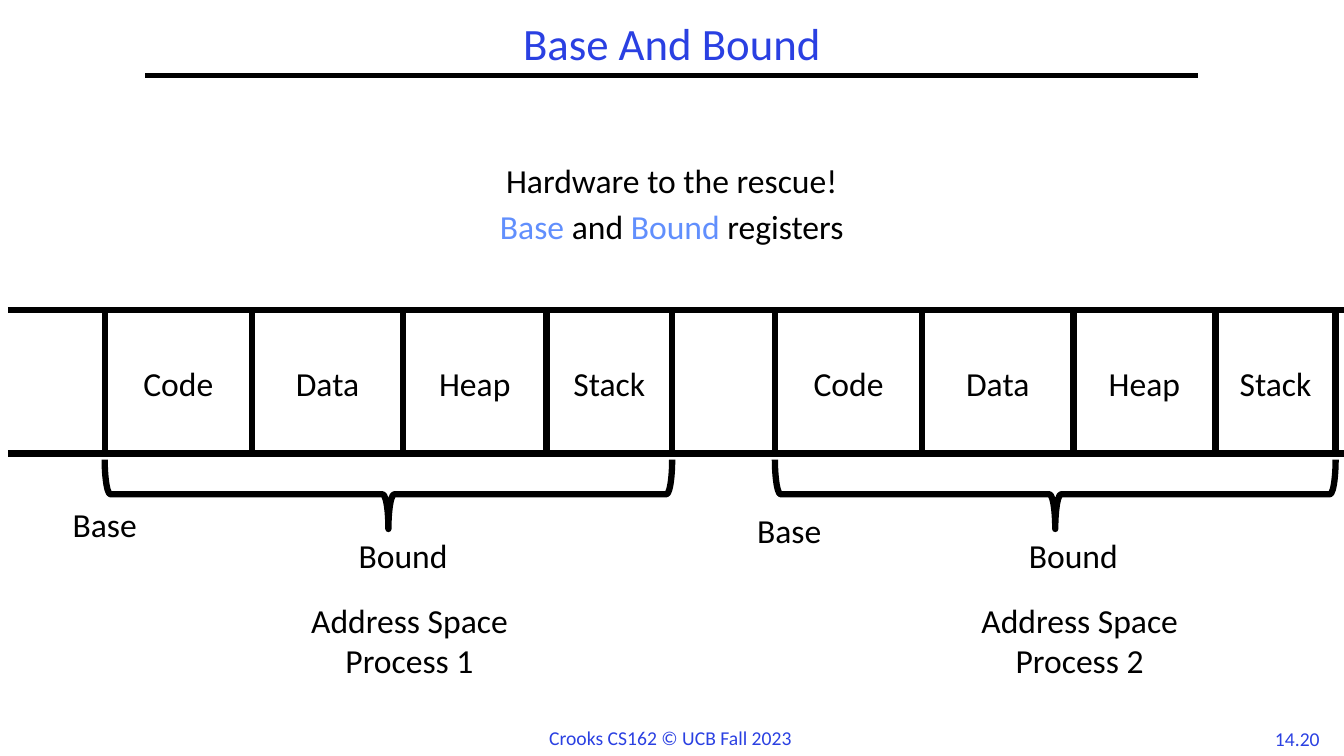
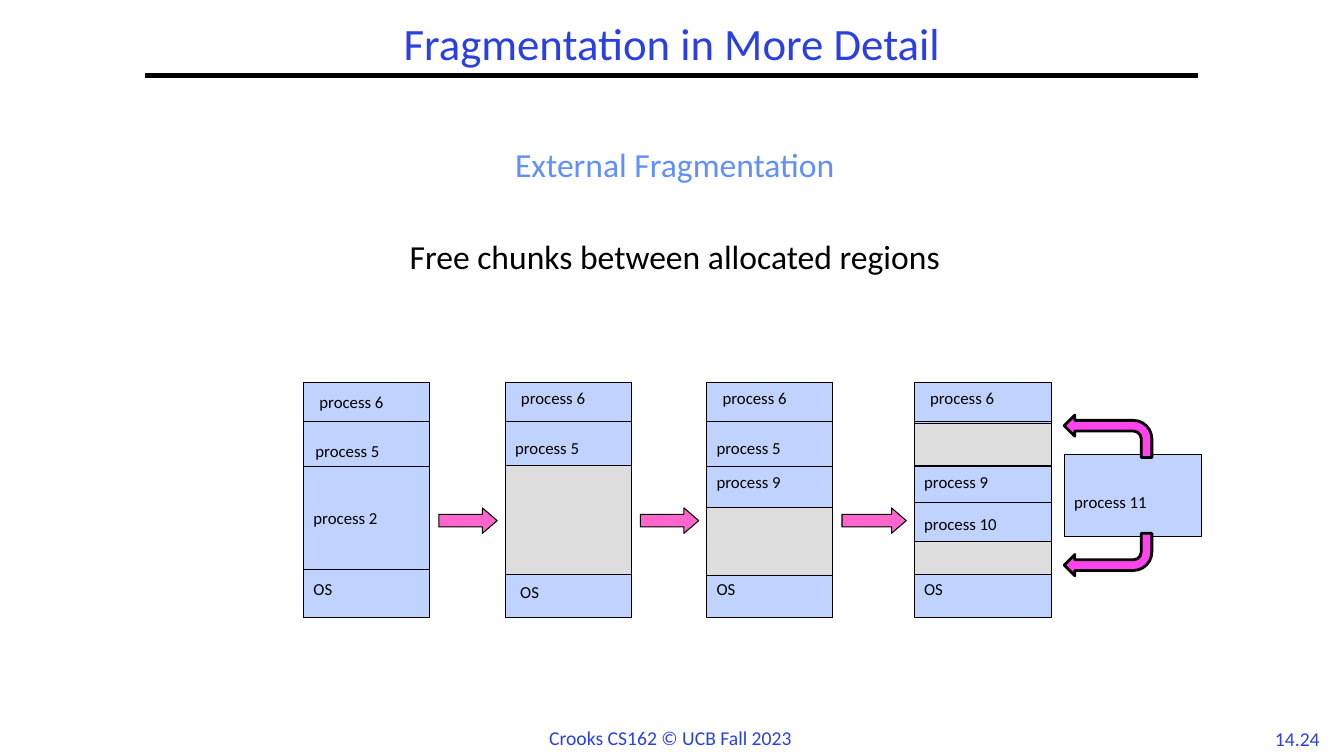
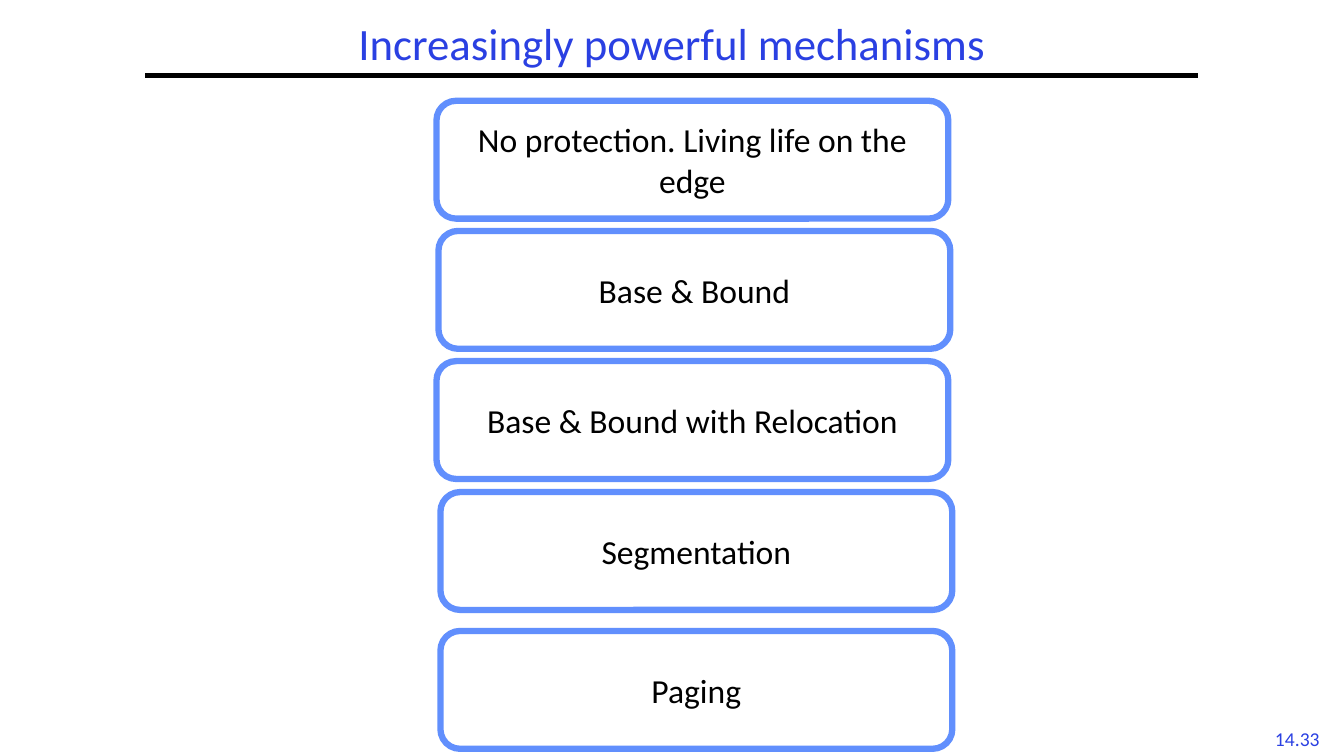
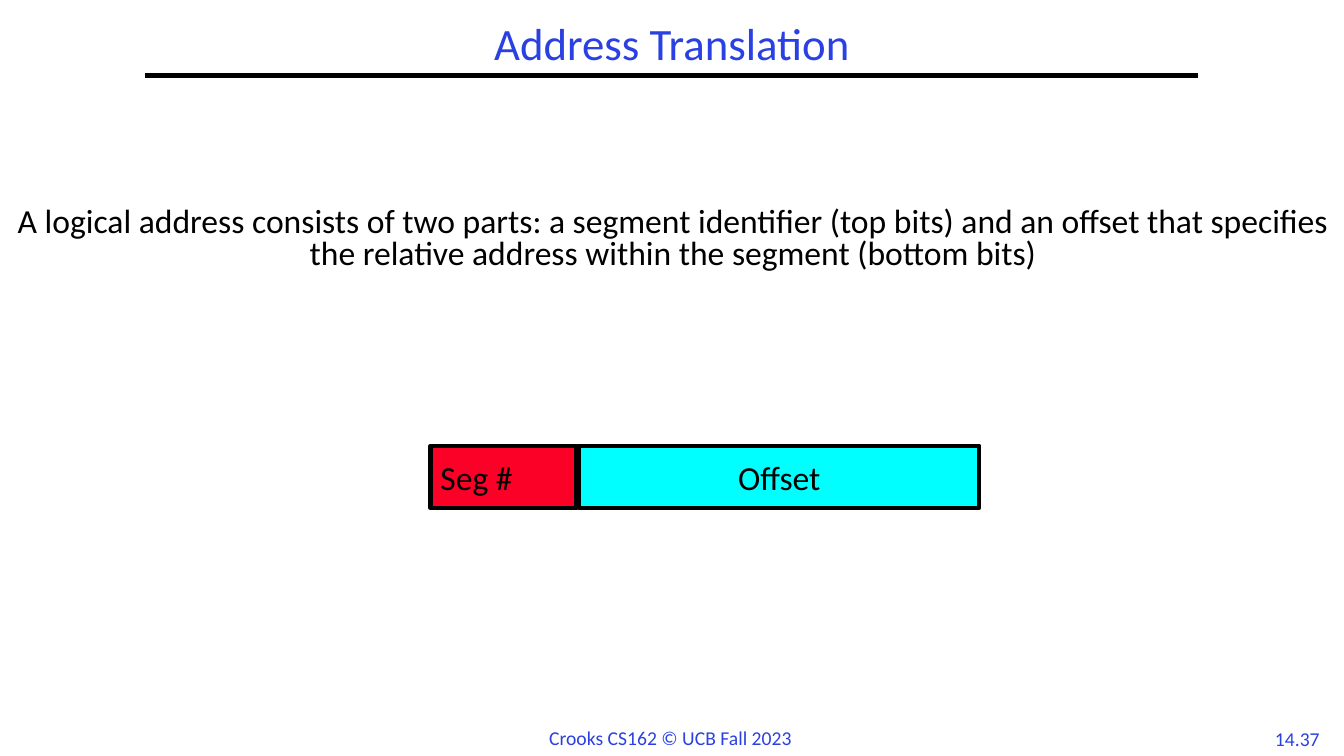
import pptx
import pptx.util
import pptx.dml.color
import pptx.enum.shapes
import pptx.enum.text
import pptx.oxml.ns
import lxml.etree

Cm = pptx.util.Cm
SHAPE = pptx.enum.shapes.MSO_SHAPE
ANCHOR = pptx.enum.text.MSO_ANCHOR
ALIGN = pptx.enum.text.PP_ALIGN


def rgb(value):
    return pptx.dml.color.RGBColor.from_string(value)


class Deck:
    WIDTH, HEIGHT = 33.87, 19.05
    FONT = "Calibri"
    BLACK, WHITE = "000000", "FFFFFF"
    TITLE, ACCENT = "2A40E2", "618FFD"
    USED, FREE = "C0D2FE", "DDDDDD"
    ARROW, BENT = "FF66CC", "FF44EC"
    SEGMENT, OFFSET = "FC0128", "00FFFF"

    def __init__(self):
        self.prs = pptx.Presentation()
        self.prs.slide_width = Cm(self.WIDTH)
        self.prs.slide_height = Cm(self.HEIGHT)
        self.s = None

    def slide(self, title, number, footer=True):
        self.s = self.prs.slides.add_slide(self.prs.slide_layouts[6])
        self.line(3.66, 1.9, 30.2, 1.9, 3)
        self.text(0, 0.43, self.WIDTH, 1.47, [title], 32, self.TITLE,
                  spacing=0.9, anchor=ANCHOR.MIDDLE)
        self.text(31.83, 18.19, 1.73, 0.84, [number], 14, self.TITLE, wrap=False)
        if footer:
            self.text(13.59, 18.16, 6.68, 0.86, ["Crooks CS162 © UCB Fall 2023"],
                      14, self.TITLE, align=ALIGN.LEFT, wrap=False)

    def set_text(self, sp, paragraphs, size=24, color=BLACK, align=ALIGN.CENTER,
                 spacing=1.0, before=0, anchor=ANCHOR.TOP, wrap=True):
        tf = sp.text_frame
        tf.word_wrap = wrap
        tf.vertical_anchor = anchor
        for i, content in enumerate(paragraphs):
            p = tf.add_paragraph() if i else tf.paragraphs[0]
            p.alignment = align
            p.line_spacing = spacing
            p.space_before = pptx.util.Pt(before if i else 0)
            p.font.name = self.FONT
            p.font.size = pptx.util.Pt(size)
            runs = [(content, color)] if isinstance(content, str) else content
            for words, run_color in runs:
                r = p.add_run()
                r.text = words
                r.font.color.rgb = rgb(run_color)

    def text(self, x, y, w, h, paragraphs, size=24, color=BLACK, **style):
        sp = self.s.shapes.add_textbox(Cm(x), Cm(y), Cm(w), Cm(h))
        self.set_text(sp, paragraphs, size, color, **style)

    def label(self, x, y, words):
        self.text(x, y, 3, 0.76, [words], 12, align=ALIGN.LEFT, anchor=ANCHOR.MIDDLE)

    def shape(self, kind, x, y, w, h, fill, line=BLACK, width=0.75):
        sp = self.s.shapes.add_shape(kind, Cm(x), Cm(y), Cm(w), Cm(h))
        sp.shadow.inherit = False
        sp.fill.solid()
        sp.fill.fore_color.rgb = rgb(fill)
        sp.line.color.rgb = rgb(line)
        sp.line.width = pptx.util.Pt(width)
        return sp

    def box(self, x, y, w, h, words, fill, line=BLACK, width=3, kind=SHAPE.RECTANGLE,
            size=24, align=ALIGN.CENTER):
        sp = self.shape(kind, x, y, w, h, fill, line, width)
        self.set_text(sp, [words], size, align=align, anchor=ANCHOR.MIDDLE)
        return sp

    def line(self, x1, y1, x2, y2, width):
        c = self.s.shapes.add_connector(pptx.enum.shapes.MSO_CONNECTOR.STRAIGHT,
                                        Cm(x1), Cm(y1), Cm(x2), Cm(y2))
        c.line.color.rgb = rgb(self.BLACK)
        c.line.width = pptx.util.Pt(width)
        lxml.etree.SubElement(c._element.spPr, pptx.oxml.ns.qn("a:effectLst"))

    def brace(self, left, right, y, h):
        span = right - left
        sp = self.shape(SHAPE.LEFT_BRACE, (left + right - h) / 2, y + (h - span) / 2,
                        h, span, self.WHITE, width=4.5)
        sp.rotation = 270

    def bent_arrow(self, x, y, upside_down):
        sp = self.shape(SHAPE.BENT_ARROW, x, y, 2.21, 1.07, self.BENT, width=2)
        xfrm = sp._element.spPr.xfrm
        xfrm.set("flipH", "1")
        if upside_down:
            xfrm.set("flipV", "1")

    def process(self, name, edges, base_x, base_y, top, bottom):
        start = edges[0]
        for x in edges:
            self.line(x, top, x, bottom, 4.5)
        for left, right, words in zip(edges, edges[1:], ("Code", "Data", "Heap", "Stack")):
            self.text(left, 9.14, right - left, 1.27, [words], spacing=0.9)
        self.brace(start, edges[-1], 11.58, 1.75)
        self.text(base_x - 1.5, base_y, 3, 1.27, ["Base"])
        self.text(start + 6.02, 13.36, 3, 1.27, ["Bound"])
        self.text(start + 3.68, 14.99, 8, 2.31, ["Address Space", name])

    def memory(self, x, w, dividers, free, labels):
        self.shape(SHAPE.RECTANGLE, x, 9.63, w, 5.92, self.USED)
        for y in dividers:
            self.line(x, y, x + w, y, 0.75)
        for y, h in free:
            self.shape(SHAPE.RECTANGLE, x, y, w, h, self.FREE)
        for dx, y, words in labels:
            self.label(x + dx, y, words)

    def step_arrow(self, left, right):
        sp = self.shape(SHAPE.RIGHT_ARROW, left + 0.23, 12.8, right - left - 0.43, 0.64,
                        self.ARROW)
        sp.adjustments[1] = 0.58


def base_and_bound(d):
    d.slide("Base And Bound", "14.20")
    d.text(2.64, 4.01, 28.58, 2.36, [
        "Hardware to the rescue!",
        [("Base", d.ACCENT), (" and ", d.BLACK), ("Bound", d.ACCENT), (" registers", d.BLACK)],
    ], spacing=0.9, before=7)
    top, bottom = 7.82, 11.43
    for y in (top, bottom):
        d.line(0.2, y, d.WIDTH, y, 4.5)
    d.process("Process 1", (2.64, 6.35, 10.16, 13.77, 16.94), 2.64, 12.57, top, bottom)
    d.process("Process 2", (19.53, 23.24, 27.05, 30.63, 33.66), 19.89, 12.73, top, bottom)


def fragmentation(d):
    d.slide("Fragmentation in More Detail", "14.24")
    d.text(3.81, 3.61, 26.39, 3.6, [
        [("External Fragmentation", d.ACCENT)],
        "Free chunks between allocated regions",
    ], spacing=0.9, before=40)
    columns = [
        (7.65, 3.18, (10.62, 11.76, 14.35), (),
         ((0.15, 9.75, "process 6"), (0.05, 10.97, "process 5"),
          (0, 12.67, "process 2"), (0, 14.45, "OS"))),
        (12.73, 3.18, (10.62,), ((11.73, 2.74),),
         ((0.15, 9.65, "process 6"), (0, 10.9, "process 5"), (0.13, 14.53, "OS"))),
        (17.81, 3.18, (10.62, 11.76), ((12.8, 1.7),),
         ((0.15, 9.65, "process 6"), (0, 10.9, "process 5"),
          (0, 11.76, "process 9"), (0, 14.45, "OS"))),
        (23.04, 3.45, (10.62, 11.76, 12.67), ((10.67, 1.07), (13.64, 0.84)),
         ((0.15, 9.65, "process 6"), (0, 11.76, "process 9"),
          (0, 12.82, "process 10"), (0, 14.45, "OS"))),
    ]
    for column in columns:
        d.memory(*column)
    for before, after in zip(columns, columns[1:]):
        d.step_arrow(before[0] + before[1], after[0])
    sp = d.box(26.82, 11.46, 3.45, 2.06, "process 11", d.USED, width=0.75,
               size=12, align=ALIGN.LEFT)
    sp.text_frame.margin_top = Cm(0.45)
    d.bent_arrow(26.82, 10.46, False)
    d.bent_arrow(26.82, 13.44, True)


def mechanisms(d):
    d.slide("Increasingly powerful mechanisms", "14.33", footer=False)
    for x, y, words in (
        (11, 2.54, "No protection. Living life on the edge"),
        (11.05, 5.82, "Base & Bound"),
        (11, 9.1, "Base & Bound with Relocation"),
        (11.1, 12.4, "Segmentation"),
        (11.1, 15.9, "Paging"),
    ):
        d.box(x, y, 12.9, 2.97, words, d.WHITE, d.ACCENT, 4.5, SHAPE.ROUNDED_RECTANGLE)


def address_translation(d):
    d.slide("Address Translation", "14.37")
    d.text(0.05, 5.11, 33.82, 2.74, [
        "A logical address consists of two parts: a segment identifier (top bits) and an "
        "offset that specifies the relative address within the segment (bottom bits)",
    ], spacing=0.8)
    d.box(14.6, 11.23, 10.08, 1.57, "Offset", d.OFFSET)
    d.box(10.85, 11.23, 3.68, 1.57, "Seg #", d.SEGMENT, align=ALIGN.LEFT)


def main():
    d = Deck()
    for build in (base_and_bound, fragmentation, mechanisms, address_translation):
        build(d)
    d.prs.save("out.pptx")


if __name__ == "__main__":
    main()
